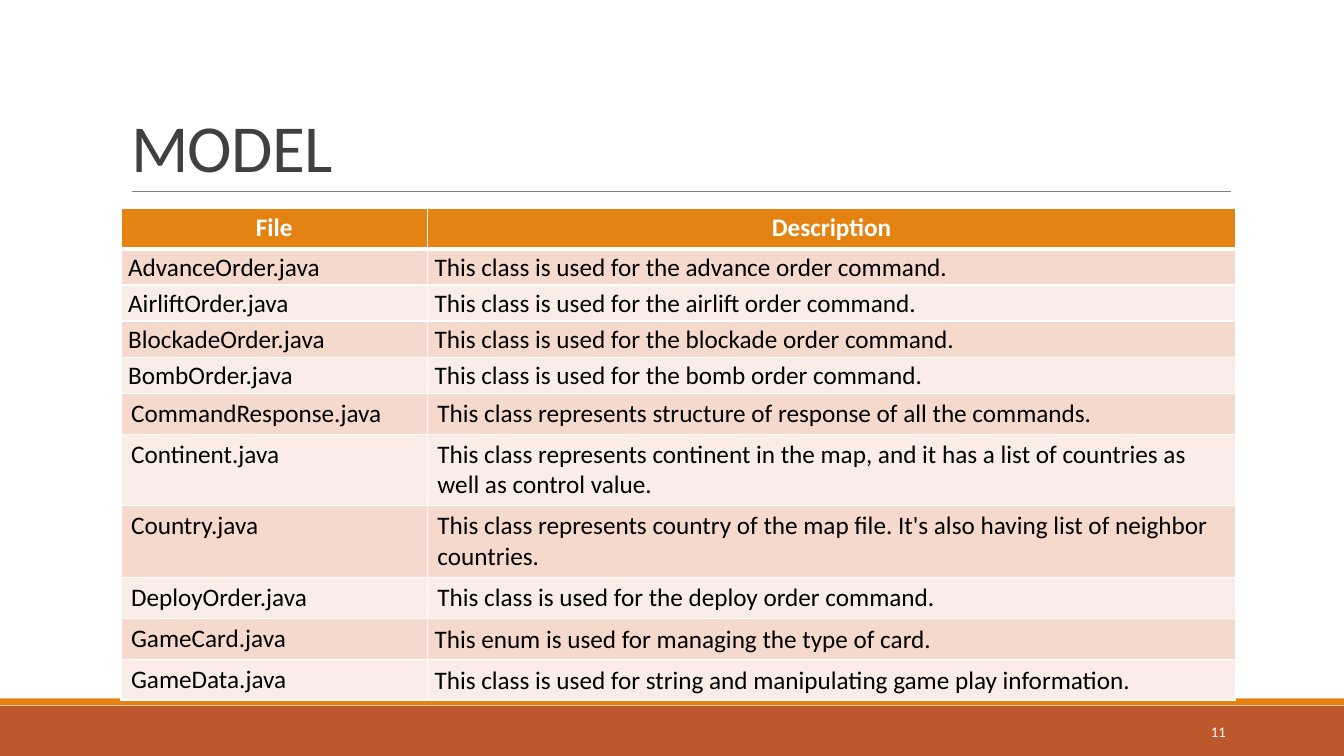
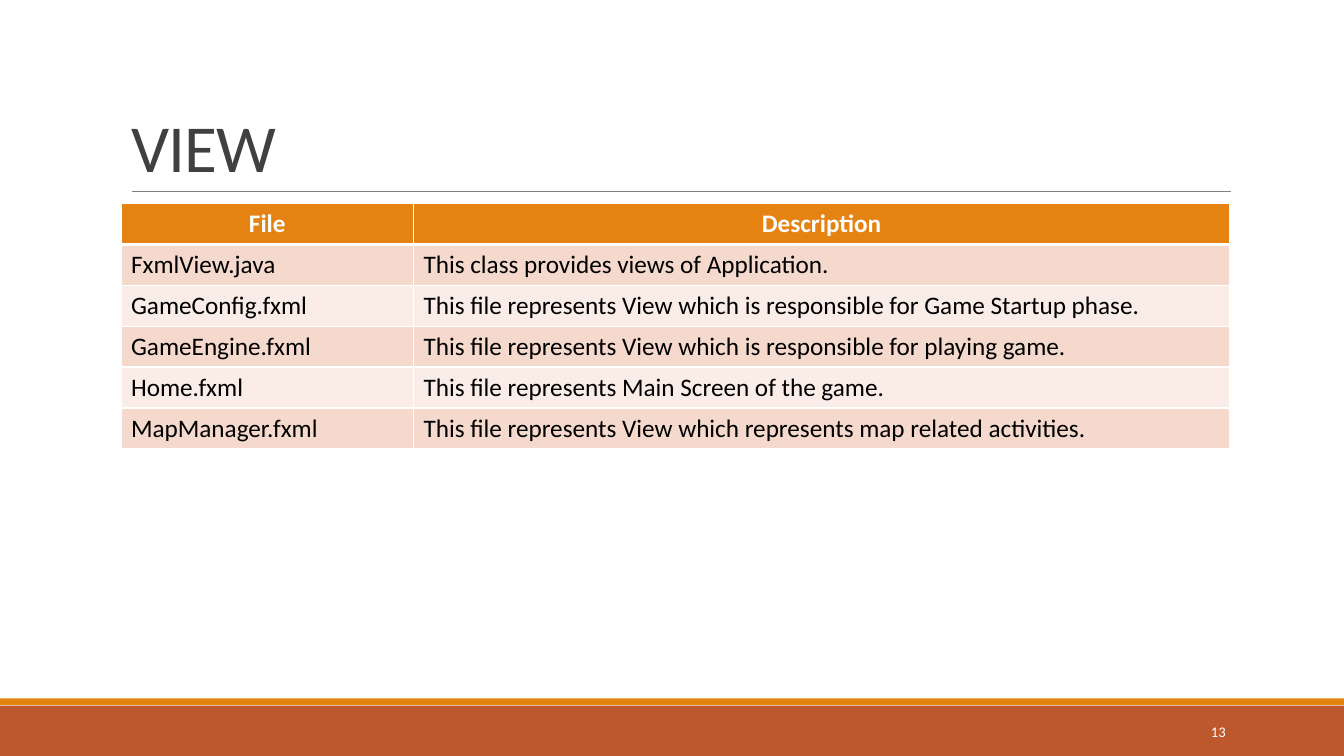
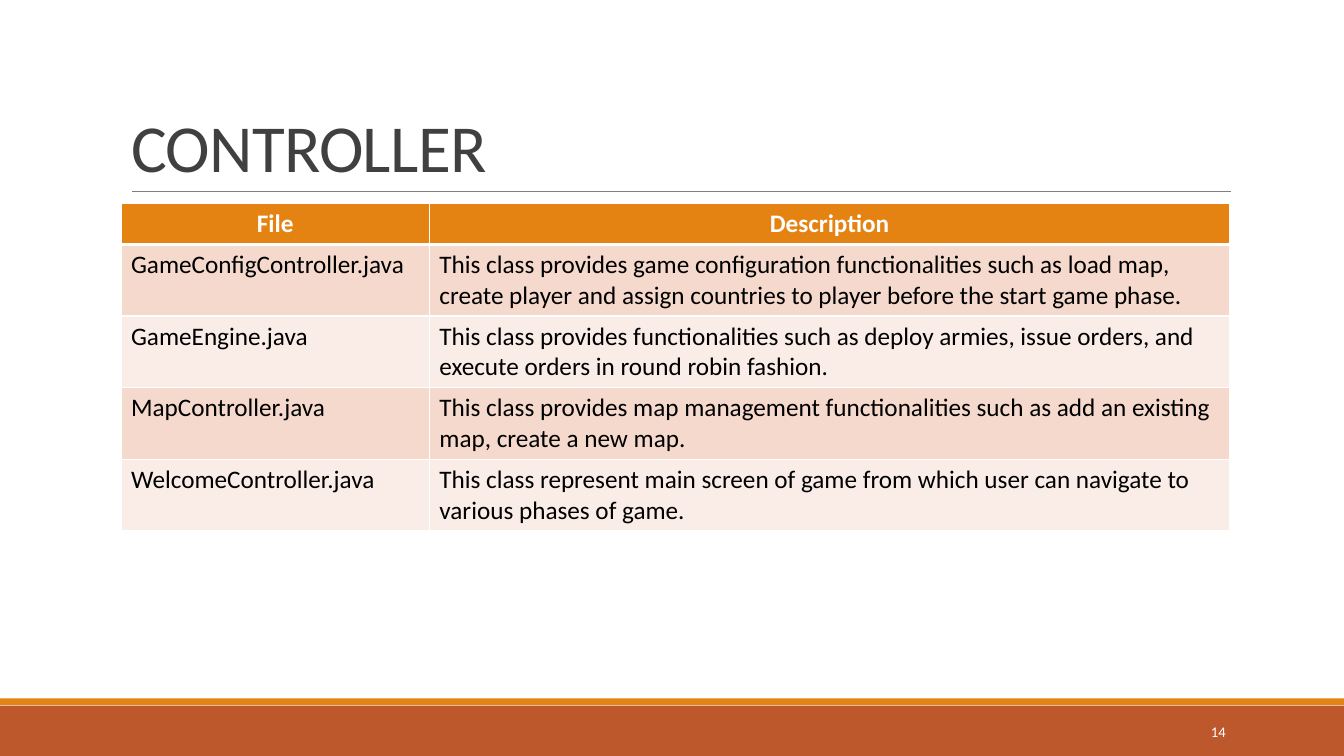
from dataclasses import dataclass

from lxml.etree import SubElement
from pptx import Presentation
from pptx.dml.color import RGBColor
from pptx.enum.shapes import MSO_CONNECTOR, MSO_SHAPE
from pptx.enum.text import MSO_ANCHOR, MSO_AUTO_SIZE, PP_ALIGN
from pptx.oxml.ns import qn
from pptx.util import Cm, Pt


@dataclass(frozen=True)
class Theme:
    font: str = "Calibri"
    title_size: float = 48
    table_size: float = 18
    number_size: float = 10.5
    title_color: str = "404040"
    text_color: str = "000000"
    white: str = "FFFFFF"
    rule_color: str = "808080"
    footer_color: str = "BD582C"
    accent_color: str = "E48312"
    row_colors: tuple = ("FAEDE7", "F5D9CC")


theme = Theme()


def write_text(paragraph, text, size, color, bold=False, **paragraph_format):
    run = paragraph.add_run()
    run.text = text
    font_format = {"name": theme.font, "size": Pt(size), "bold": bold}
    for target, values in ((run.font, font_format), (paragraph, paragraph_format)):
        for name, value in values.items():
            setattr(target, name, value)
    run.font.color.rgb = RGBColor.from_string(color)
    return run


def set_border(cell, side, width):
    line = SubElement(cell._tc.get_or_add_tcPr(), qn(f"a:ln{side}"), w=str(Pt(width)))
    fill = SubElement(line, qn("a:solidFill"))
    SubElement(fill, qn("a:srgbClr"), val=theme.white)


HEADER = ("File", "Description")
PLAIN_ROW, COMPACT_ROW, TWO_LINE_ROW = 1.03, 0.91, 1.8
COMPACT_CELL = {
    "vertical_anchor": MSO_ANCHOR.MIDDLE,
    "margin_left": Cm(0.18),
    "margin_right": Cm(0.18),
    "margin_top": 0,
    "margin_bottom": 0,
}
COMPACT_PARAGRAPH = {"line_spacing": 1.07, "space_before": Pt(3), "space_after": Pt(3)}

pages = [
    {
        "title": "MODEL",
        "number": "11",
        "top": 5.24,
        "columns": (7.72, 20.37),
        "compact_files": range(1, 5),
        "compact_descriptions": (1, 2, 3, 4, 9, 10),
        "two_line_rows": (6, 7),
        "rows": [
            ("AdvanceOrder.java", "This class is used for the advance order command."),
            ("AirliftOrder.java", "This class is used for the airlift order command."),
            ("BlockadeOrder.java", "This class is used for the blockade order command."),
            ("BombOrder.java", "This class is used for the bomb order command."),
            ("CommandResponse.java", "This class represents structure of response of all the commands."),
            ("Continent.java", "This class represents continent in the map, and it has a list of "
             "countries as well as control value."),
            ("Country.java", "This class represents country of the map file. It's also having list "
             "of neighbor countries."),
            ("DeployOrder.java", "This class is used for the deploy order command."),
            ("GameCard.java", "This enum is used for managing the type of card."),
            ("GameData.java", "This class is used for string and manipulating game play information."),
        ],
    },
    {
        "title": "VIEW",
        "number": "13",
        "top": 5.13,
        "columns": (7.37, 20.57),
        "compact_files": (),
        "compact_descriptions": (),
        "two_line_rows": (),
        "rows": [
            ("FxmlView.java", "This class provides views of Application."),
            ("GameConfig.fxml", "This file represents View which is responsible for Game Startup phase."),
            ("GameEngine.fxml", "This file represents View which is responsible for playing game."),
            ("Home.fxml", "This file represents Main Screen of the game."),
            ("MapManager.fxml", "This file represents View which represents map related activities."),
        ],
    },
    {
        "title": "CONTROLLER",
        "number": "14",
        "top": 5.13,
        "columns": (7.77, 20.17),
        "compact_files": (),
        "compact_descriptions": (),
        "two_line_rows": range(1, 5),
        "rows": [
            ("GameConfigController.java", "This class provides game configuration functionalities such "
             "as load map, create player and assign countries to player before the start game phase."),
            ("GameEngine.java", "This class provides functionalities such as deploy armies, issue "
             "orders, and execute orders in round robin fashion."),
            ("MapController.java", "This class provides map management functionalities such as add an "
             "existing map, create a new map."),
            ("WelcomeController.java", "This class represent main screen of game from which user can "
             "navigate to various phases of game."),
        ],
    },
]

presentation = Presentation()
presentation.slide_width = Cm(33.87)
presentation.slide_height = Cm(19.05)
title_only_layout = presentation.slide_layouts[5]

for page in pages:
    slide = presentation.slides.add_slide(title_only_layout)

    for top, height, color in ((17.78, 1.27, theme.footer_color), (17.6, 0.17, theme.accent_color)):
        band = slide.shapes.add_shape(
            MSO_SHAPE.RECTANGLE, 0, Cm(top), presentation.slide_width, Cm(height))
        band.shadow.inherit = False
        band.fill.solid()
        band.fill.fore_color.rgb = RGBColor.from_string(color)
        band.line.fill.background()

    title_rule = slide.shapes.add_connector(
        MSO_CONNECTOR.STRAIGHT, Cm(3.33), Cm(4.82), Cm(31.01), Cm(4.82))
    title_rule.line.color.rgb = RGBColor.from_string(theme.rule_color)
    title_rule.line.width = Pt(0.5)
    SubElement(title_rule.element.spPr, qn("a:effectLst"))

    title = slide.shapes.title
    title_box = {"left": Cm(3.05), "top": Cm(0.79), "width": Cm(27.94), "height": Cm(4.04)}
    for name, value in title_box.items():
        setattr(title, name, value)
    title.text_frame.auto_size = MSO_AUTO_SIZE.NONE
    title.text_frame.vertical_anchor = MSO_ANCHOR.BOTTOM
    title_run = write_text(title.text_frame.paragraphs[0], page["title"], theme.title_size,
                           theme.title_color, alignment=PP_ALIGN.LEFT, line_spacing=0.85)
    title_run.font._element.set("spc", "-50")

    rows = [HEADER] + page["rows"]
    heights = [
        TWO_LINE_ROW if index in page["two_line_rows"]
        else COMPACT_ROW if index in page["compact_files"]
        else PLAIN_ROW
        for index in range(len(rows))
    ]
    table = slide.shapes.add_table(
        len(rows), len(HEADER), Cm(3.05), Cm(page["top"]),
        Cm(sum(page["columns"])), Cm(sum(heights))).table
    for column, width in zip(table.columns, page["columns"]):
        column.width = Cm(width)
    compact_columns = (page["compact_files"], page["compact_descriptions"])

    for row_index, (texts, height) in enumerate(zip(rows, heights)):
        table.rows[row_index].height = Cm(height)
        is_header = row_index == 0
        for column_index, text in enumerate(texts):
            cell = table.cell(row_index, column_index)
            border_widths = {"L": 1, "R": 1, "T": 3 if row_index == 1 else 1, "B": 3 if is_header else 1}
            for side, width in border_widths.items():
                set_border(cell, side, width)
            cell.fill.solid()
            cell.fill.fore_color.rgb = RGBColor.from_string(
                theme.accent_color if is_header else theme.row_colors[row_index % 2])

            paragraph_format = {"alignment": PP_ALIGN.CENTER if is_header else PP_ALIGN.LEFT}
            if row_index in compact_columns[column_index]:
                for name, value in COMPACT_CELL.items():
                    setattr(cell, name, value)
                paragraph_format.update(COMPACT_PARAGRAPH)
                if column_index == 1:
                    paragraph_format["alignment"] = PP_ALIGN.JUSTIFY
            write_text(cell.text_frame.paragraphs[0], text, theme.table_size,
                       theme.white if is_header else theme.text_color,
                       bold=is_header, **paragraph_format)

    number_box = slide.shapes.add_textbox(Cm(27.51), Cm(17.93), Cm(3.63), Cm(1.02))
    number_box.text_frame.word_wrap = True
    number_box.text_frame.vertical_anchor = MSO_ANCHOR.MIDDLE
    write_text(number_box.text_frame.paragraphs[0], page["number"], theme.number_size,
               theme.white, alignment=PP_ALIGN.RIGHT)

presentation.save("out.pptx")
